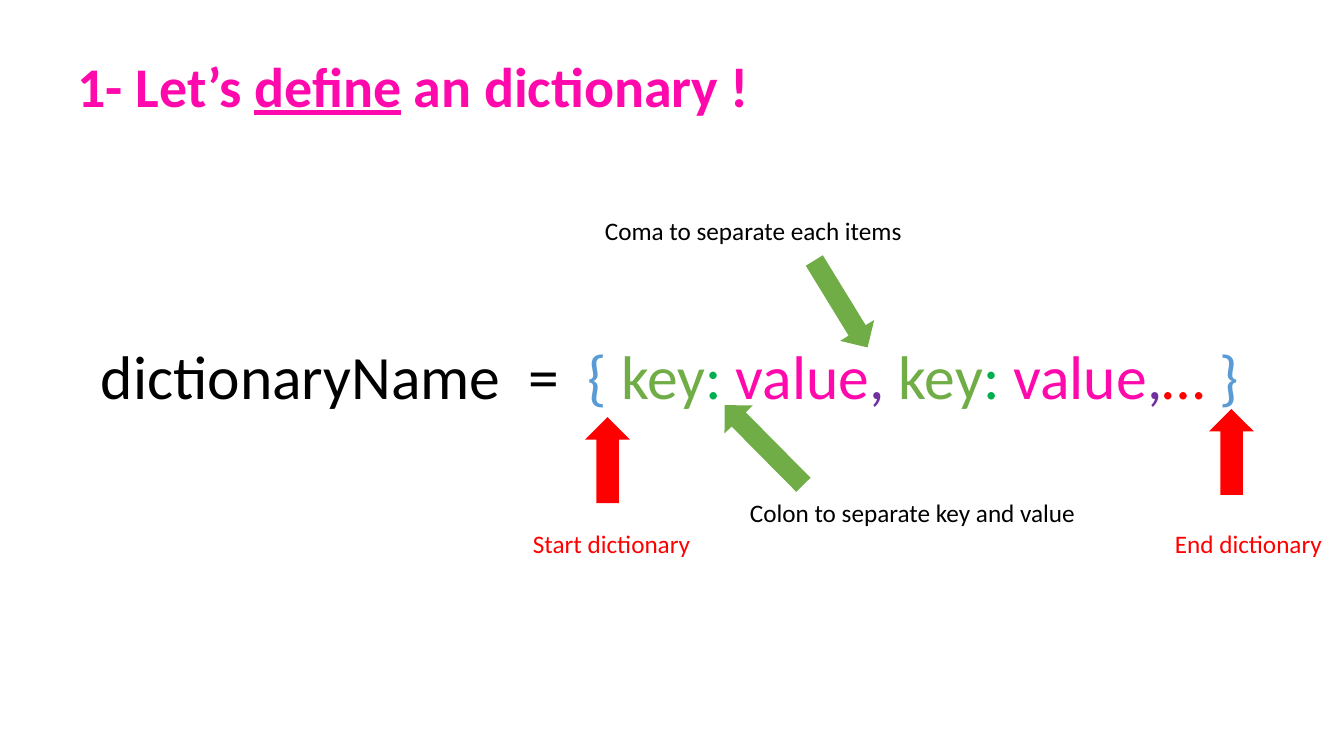
import pptx
import pptx.util
from pptx.dml.color import RGBColor
from pptx.enum.shapes import MSO_SHAPE
from pptx.enum.text import MSO_ANCHOR, MSO_AUTO_SIZE, PP_ALIGN

BLACK = RGBColor(0x00, 0x00, 0x00)
RED = RGBColor(0xFF, 0x00, 0x00)
PINK = RGBColor(0xFF, 0x09, 0xAD)
BLUE = RGBColor(0x5B, 0x9B, 0xD5)
LIGHT_GREEN = RGBColor(0x70, 0xAD, 0x47)
GREEN = RGBColor(0x00, 0xB0, 0x50)
PURPLE = RGBColor(0x70, 0x30, 0xA0)

# Runs are (text, font values); places are (left, top, width, height) in pixels.
PAIR = [("key", {"color": LIGHT_GREEN}), (": ", {"color": GREEN}),
        ("value", {"color": PINK})]
TITLE_PLACE = (63, 46, 701, 78)
TITLE_RUNS = [("1- Let’s ", {}), ("define", {"underline": True}),
              (" an dictionary !", {})]
SYNTAX_PLACE = (91, 333, 1169, 85)
SYNTAX_RUNS = [("dictionaryName  =  ", {}), ("{ ", {"color": BLUE}),
               *PAIR, (", ", {"color": PURPLE}),
               *PAIR, (",", {"color": PURPLE}),
               ("… ", {"color": RED}), ("}", {"color": BLUE})]
# Label, its colour and place, then the colour, place and rotation of its arrow.
NOTES = [
    ("Start dictionary", RED, (523, 523, 179, 40), RED, (585, 417, 45, 86), 180),
    ("End dictionary", RED, (1165, 523, 169, 40), RED, (1209, 409, 45, 86), 180),
    ("Colon to separate key and value", BLACK, (740, 492, 350, 40),
     LIGHT_GREEN, (744, 389, 40, 112), 135.3),
    ("Coma to separate each items", BLACK, (595, 210, 321, 40),
     LIGHT_GREEN, (821, 253, 40, 102), 328.5),
]

PIXELS_PER_INCH = 100.8


def emu(pixels):
    """Turn pixels into EMU."""
    return pptx.util.Inches(pixels / PIXELS_PER_INCH)


def write(box, runs, **base):
    """Fill a box with one paragraph of runs sharing the base font values."""
    frame = box.text_frame
    layout = {"word_wrap": True, "auto_size": MSO_AUTO_SIZE.NONE,
              "vertical_anchor": MSO_ANCHOR.TOP}
    for name, value in layout.items():
        setattr(frame, name, value)
    para = frame.paragraphs[0]
    for text, changes in runs:
        span = para.add_run()
        span.text = text
        values = {"name": "Calibri", **base, **changes}
        span.font.color.rgb = values.pop("color")
        for name, value in values.items():
            setattr(span.font, name, value)
    return para


def add_text(slide, place, runs, **base):
    """Add a text box at a pixel place."""
    box = slide.shapes.add_textbox(*map(emu, place))
    write(box, runs, **base)


def add_arrow(slide, place, color, rotation):
    """Add a plain block arrow, pointing down before it is rotated."""
    arrow = slide.shapes.add_shape(MSO_SHAPE.DOWN_ARROW, *map(emu, place))
    arrow.rotation = rotation
    arrow.shadow.inherit = False
    arrow.fill.solid()
    arrow.fill.fore_color.rgb = color
    arrow.line.fill.background()


def set_title(slide):
    """Move and fill the title placeholder."""
    title = slide.shapes.title
    for name, value in zip(("left", "top", "width", "height"), TITLE_PLACE):
        setattr(title, name, emu(value))
    para = write(title, TITLE_RUNS, size=pptx.util.Pt(40), bold=True, color=PINK)
    para.alignment = PP_ALIGN.CENTER


deck = pptx.Presentation()
deck.slide_width, deck.slide_height = emu(1344), emu(756)
slide = deck.slides.add_slide(deck.slide_layouts.get_by_name("Title Only"))
set_title(slide)
add_text(slide, SYNTAX_PLACE, SYNTAX_RUNS, size=pptx.util.Pt(44), color=BLACK)
for label, label_color, label_place, arrow_color, arrow_place, rotation in NOTES:
    add_arrow(slide, arrow_place, arrow_color, rotation)
    add_text(slide, label_place, [(label, {})], size=pptx.util.Pt(18),
             color=label_color)
deck.save("out.pptx")
